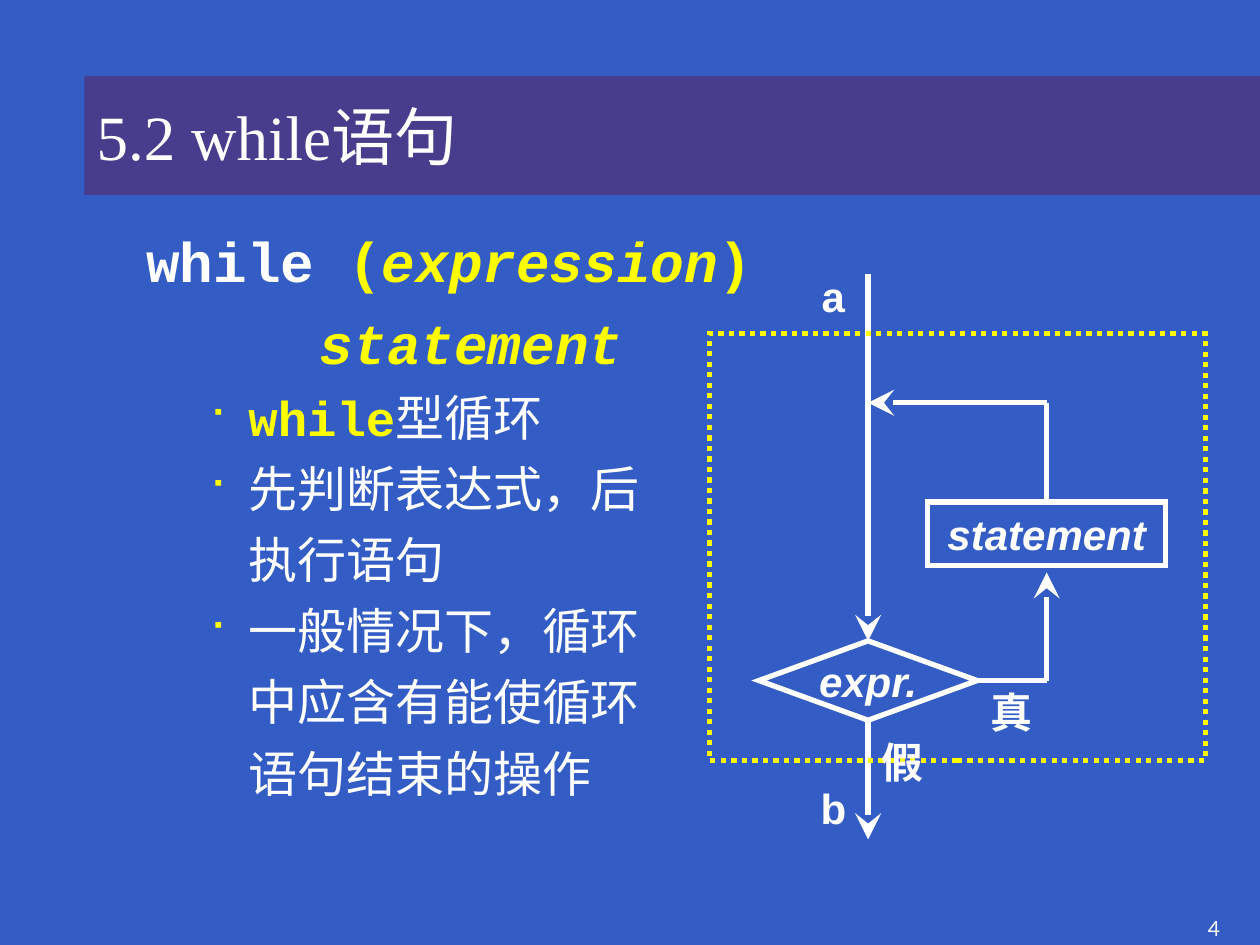
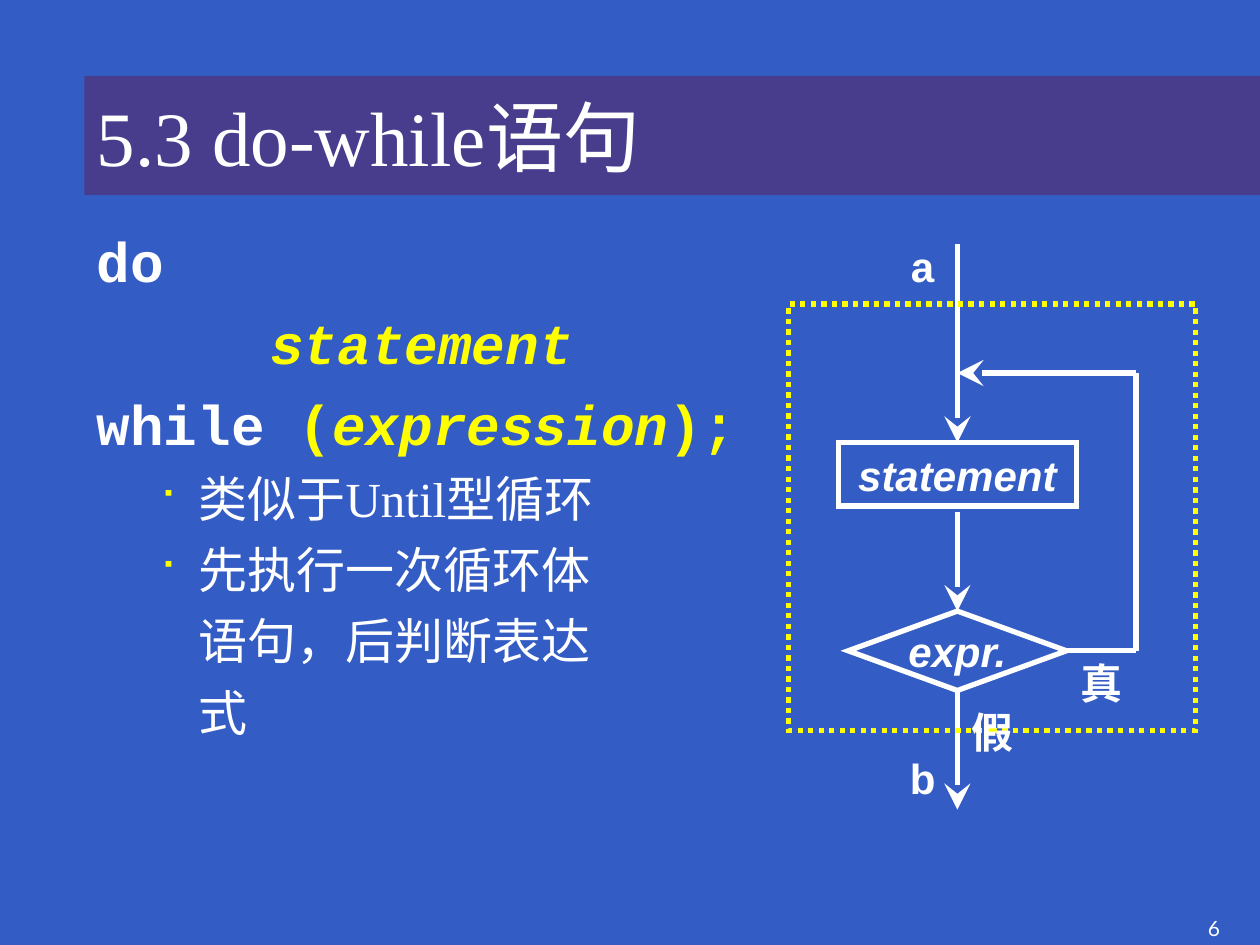
import pptx
import pptx.util
import pptx.dml.color
import pptx.enum.dml
import pptx.enum.shapes
import pptx.enum.text
import pptx.oxml.ns
from lxml import etree

Cm, Pt = pptx.util.Cm, pptx.util.Pt
SHAPE = pptx.enum.shapes.MSO_SHAPE
ANCHOR = pptx.enum.text.MSO_ANCHOR
ALIGN = pptx.enum.text.PP_ALIGN
qn = pptx.oxml.ns.qn

COLORS = {"page": "335CC5", "band": "473D8C", "text": "FFFFFF", "accent": "FFFF00"}

# Text formats: font attributes plus a colour name
CODE = {"name": "Courier New", "size": Pt(32), "bold": True, "color": "text"}
CODE_HI = {**CODE, "color": "accent"}
CODE_VAR = {**CODE_HI, "italic": True}
NOTE = {"name": "Times New Roman", "size": Pt(28), "color": "text"}
NOTE_MONO = {**NOTE, "name": "Courier New"}
NOTE_CODE = {**NOTE_MONO, "bold": True, "color": "accent"}
LABEL = {"name": "Arial", "size": Pt(24), "bold": True, "color": "text"}
NODE = {**LABEL, "italic": True}
PAGE_NO = {"name": "Lato", "size": Pt(12), "color": "text"}

# Paragraph kinds: left margin, first-line indent (cm), space before (pt), bullet
KINDS = {
    "code": (0.97, -0.97, 8, False),
    "inner": (3.5, 0, 8, False),
    "bullet": (2.06, -0.79, 7, True),
    "more": (2.06, 0, 7, False),
}


def rgb(name):
    return pptx.dml.color.RGBColor.from_string(COLORS[name])


def add_run(p, text, fmt):
    r = p.add_run()
    r.text = text
    for key, value in fmt.items():
        if key == "color":
            r.font.color.rgb = rgb(value)
        else:
            setattr(r.font, key, value)


def add_box(s, kind, box, fill=None, line=None):
    sp = s.shapes.add_shape(kind, *map(Cm, box))
    sp.shadow.inherit = False
    if fill:
        sp.fill.solid()
        sp.fill.fore_color.rgb = rgb(fill)
    else:
        sp.fill.background()
    if line:
        sp.line.color.rgb = rgb(line)
        sp.line.width = Pt(3)
        etree.SubElement(sp.line._get_or_add_ln(), qn("a:miter"), lim="800000")
    else:
        sp.line.fill.background()
    return sp


def set_text(sp, text, fmt, align=ALIGN.CENTER, anchor=ANCHOR.MIDDLE, wrap=True):
    tf = sp.text_frame
    tf.word_wrap = wrap
    tf.vertical_anchor = anchor
    tf.paragraphs[0].alignment = align
    add_run(tf.paragraphs[0], text, fmt)


def add_label(s, x, y, text):
    sp = s.shapes.add_textbox(Cm(x), Cm(y), Cm(2.2), Cm(1.27))
    set_text(sp, text, LABEL, anchor=ANCHOR.TOP)


def add_line(s, start, end, arrow=False, begin=None, finish=None):
    """Line between two points; begin and finish are (shape, side) joins."""
    c = s.shapes.add_connector(pptx.enum.shapes.MSO_CONNECTOR.STRAIGHT,
                               *map(Cm, start + end))
    c.line.color.rgb = rgb("text")
    c.line.width = Pt(3)
    if arrow:
        etree.SubElement(c.line._get_or_add_ln(), qn("a:tailEnd"),
                         type="stealth", w="lg", len="lg")
    etree.SubElement(c._element.spPr, qn("a:effectLst"))
    if begin:
        c.begin_connect(*begin)
    if finish:
        c.end_connect(*finish)


def add_bullet(p):
    pPr = p._p.get_or_add_pPr()
    color = etree.SubElement(pPr, qn("a:buClr"))
    etree.SubElement(color, qn("a:srgbClr"), val=COLORS["accent"])
    etree.SubElement(pPr, qn("a:buSzPct"), val="80000")
    etree.SubElement(pPr, qn("a:buFont"), typeface="Wingdings", charset="2")
    etree.SubElement(pPr, qn("a:buChar"), char="■")


def add_body(s, box, lines):
    tf = s.shapes.add_textbox(*map(Cm, box)).text_frame
    tf.word_wrap = True
    for i, (kind, runs) in enumerate(lines):
        p = tf.paragraphs[0] if i == 0 else tf.add_paragraph()
        margin, indent, before, bullet = KINDS[kind]
        pPr = p._p.get_or_add_pPr()
        pPr.set("marL", str(Cm(margin)))
        pPr.set("indent", str(Cm(indent)))
        if i:
            p.space_before = Pt(before)
        if bullet:
            add_bullet(p)
        for text, fmt in runs:
            add_run(p, text, fmt)


def add_flowchart(s, x, y, frame, statement, test_first):
    """Loop diagram hung from the entry point (x, y).

    frame is (left, width) and statement (left, top), relative to that point.
    """
    def at(dx, dy):
        return x + dx, y + dy

    # Nodes
    block = add_box(s, SHAPE.RECTANGLE, at(*statement) + (4.8, 1.28), line="text")
    set_text(block, "statement", NODE)
    test = add_box(s, SHAPE.FLOWCHART_DECISION, at(-2.2, 7.4) + (4.4, 1.6), line="text")
    set_text(test, "expr.", NODE, wrap=False)

    # Entry and exit, crossed by the dotted frame
    first = test if test_first else block
    add_line(s, at(0, 0), at(0, 7.4), True, finish=(first, 0))
    add_line(s, at(0, 9), at(0, 11.4), True, begin=(test, 2))
    border = add_box(s, SHAPE.RECTANGLE, at(frame[0], 1.21) + (frame[1], 8.6),
                     line="accent")
    border.line.dash_style = pptx.enum.dml.MSO_LINE.ROUND_DOT

    # The way back to the entry line
    turn, merge = at(3.6, 2.6), at(0, 2.6)
    corner = at(3.6, 8.2)
    add_line(s, at(2.2, 8.2), corner, begin=(test, 3))
    if test_first:
        add_line(s, corner, at(3.6, 6.02), True)
        add_line(s, at(3.6, 4.6), turn, begin=(block, 0))
    else:
        add_line(s, at(0, 5.4), at(0, 7.4), True, finish=(test, 0))
        add_line(s, corner, turn)
    add_line(s, turn, merge, True)

    # Labels
    for dx, dy, text in ((-1.8, -0.2, "a"), (-1.8, 10.13, "b"),
                         (1.8, 8.2, "真"), (-0.4, 9.2, "假")):
        add_label(s, *at(dx, dy), text)


def add_loop_slide(prs, title, title_size, number, body_box, lines, chart):
    s = prs.slides.add_slide(prs.slide_layouts[6])
    s.background.fill.solid()
    s.background.fill.fore_color.rgb = rgb("page")

    # Page number
    sp = s.shapes.add_textbox(Cm(24.1), Cm(18.34), Cm(1.3), Cm(0.71))
    set_text(sp, number, PAGE_NO, ALIGN.LEFT, ANCHOR.TOP)

    # Title band
    band = add_box(s, SHAPE.RECTANGLE, (1.7, 1.53, 23.7, 2.4), fill="band")
    fmt = {"name": "Times New Roman", "size": Pt(title_size), "color": "text"}
    set_text(band, title, fmt, ALIGN.LEFT)

    add_body(s, body_box, lines)
    add_flowchart(s, **chart)


def main():
    prs = pptx.Presentation()
    prs.slide_width, prs.slide_height = Cm(25.4), Cm(19.05)

    add_loop_slide(
        prs, "5.2 while语句", 36, "4", (2.7, 4.45, 21.4, 13.2),
        [
            ("code", [("while ", CODE), ("(", CODE_HI),
                      ("expression", CODE_VAR), (")", CODE_HI)]),
            ("inner", [("statement", CODE_VAR)]),
            ("bullet", [("while", NOTE_CODE), ("型循环", NOTE_MONO)]),
            ("bullet", [("先判断表达式，后", NOTE_MONO)]),
            ("more", [("执行语句", NOTE_MONO)]),
            ("bullet", [("一般情况下，循环", NOTE_MONO)]),
            ("more", [("中应含有能使循环", NOTE_MONO)]),
            ("more", [("语句结束的操作", NOTE_MONO)]),
        ],
        {"x": 17.5, "y": 5.52, "frame": (-3.2, 10), "statement": (1.2, 4.6),
         "test_first": True})

    add_loop_slide(
        prs, "5.3 do-while语句", 44, "6", (1.7, 4.45, 22.07, 13.2),
        [
            ("code", [("do", CODE)]),
            ("inner", [("statement", CODE_VAR)]),
            ("code", [("while", CODE), (" (", CODE_HI),
                      ("expression", CODE_VAR), (");", CODE_HI)]),
            ("bullet", [("类似于Until型循环", NOTE)]),
            ("bullet", [("先执行一次循环体", NOTE)]),
            ("more", [("语句，后判断表达", NOTE)]),
            ("more", [("式", NOTE)]),
        ],
        {"x": 19.3, "y": 4.92, "frame": (-3.4, 8.2), "statement": (-2.4, 4),
         "test_first": False})

    prs.save("out.pptx")


if __name__ == "__main__":
    main()
